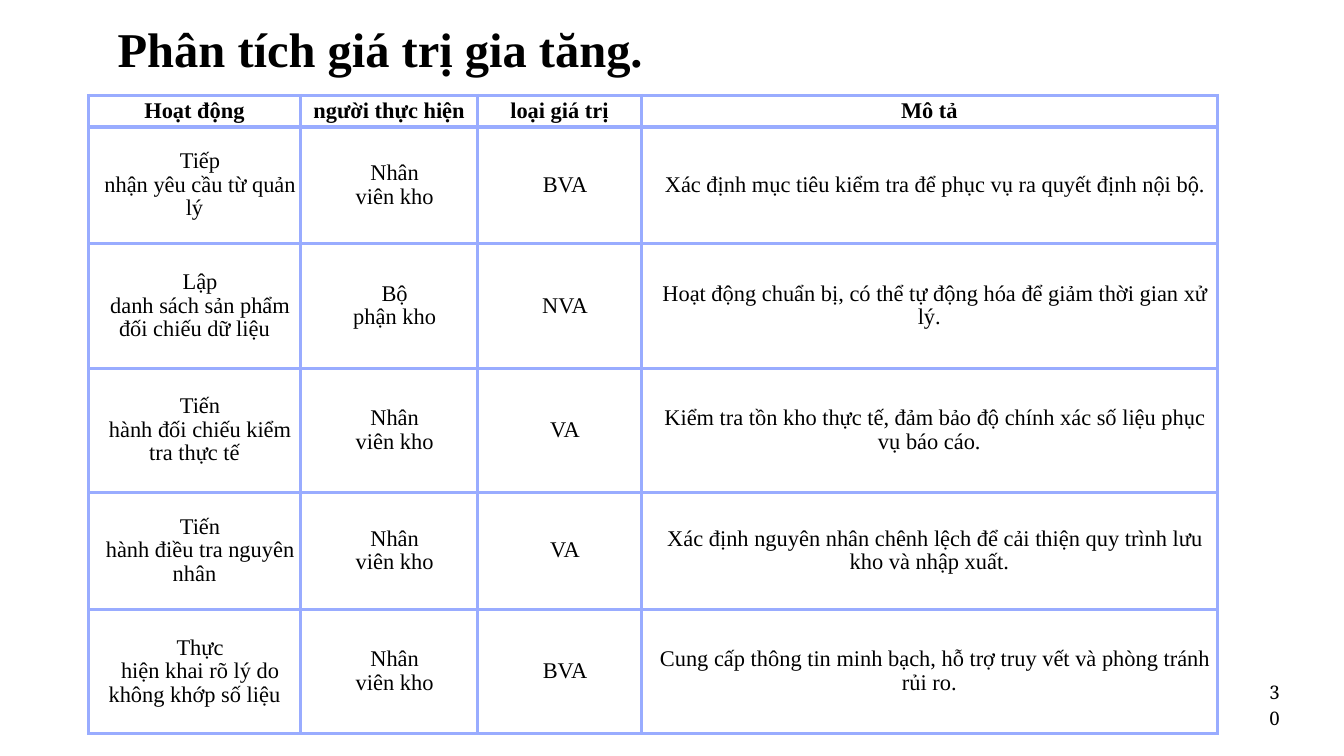
from lxml.etree import SubElement
from pptx import Presentation
from pptx.dml.color import RGBColor
from pptx.enum.text import MSO_ANCHOR, MSO_AUTO_SIZE, PP_ALIGN
from pptx.oxml.ns import qn
from pptx.util import Cm, Pt

COLORS = {"text": "000000", "border": "99ACFF"}
FONT = "Times New Roman"
NUMBER_FONT = "Noto Serif"
COL_WIDTHS = [8, 6.71, 6.17, 21.79]
ROW_HEIGHTS = [1.19, 4.42, 4.7, 4.7, 4.42, 4.7]
ROWS = [
    ["Hoạt động", "người thực hiện", "loại giá trị", "Mô tả"],
    ["Tiếp\nnhận yêu cầu từ quản lý", "Nhân\nviên kho", "BVA",
     "Xác định mục tiêu kiểm tra để phục vụ ra quyết định nội bộ."],
    ["Lập\ndanh sách sản phẩm đối chiếu dữ liệu", "Bộ\nphận kho", "NVA",
     "Hoạt động chuẩn bị, có thể tự động hóa để giảm thời gian xử lý."],
    ["Tiến\nhành đối chiếu kiểm tra thực tế", "Nhân\nviên kho", "VA",
     "Kiểm tra tồn kho thực tế, đảm bảo độ chính xác số liệu phục vụ báo cáo."],
    ["Tiến\nhành điều tra nguyên nhân", "Nhân\nviên kho", "VA",
     "Xác định nguyên nhân chênh lệch để cải thiện quy trình lưu kho và nhập xuất."],
    ["Thực\nhiện khai rõ lý do không khớp số liệu", "Nhân\nviên kho", "BVA",
     "Cung cấp thông tin minh bạch, hỗ trợ truy vết và phòng tránh rủi ro."],
]


class Deck:
    """Holds the style and the current slide, and adds each kind of element."""

    def __init__(self, prs):
        self.slide = prs.slides.add_slide(prs.slide_layouts[5])

    def set_text(self, tf, text, size, spacing, font=FONT, bold=False, indent=0):
        tf.text = text
        for p in tf.paragraphs:
            p.alignment = PP_ALIGN.CENTER
            p.line_spacing = Pt(spacing)
            p.space_before = Pt(0)
            if indent:
                p._p.get_or_add_pPr().set("indent", str(Cm(indent)))
            for r in p.runs:
                r.font.name = font
                r.font.size = Pt(size)
                r.font.bold = bold
                r.font.color.rgb = RGBColor.from_string(COLORS["text"])

    def frame(self, sp):
        tf = sp.text_frame
        tf.margin_left = tf.margin_right = tf.margin_top = tf.margin_bottom = 0
        tf.word_wrap = True
        tf.auto_size = MSO_AUTO_SIZE.NONE
        tf.vertical_anchor = MSO_ANCHOR.TOP
        return tf

    def title(self, text, x, y, w, h):
        sp = self.slide.shapes.title
        sp.left, sp.top, sp.width, sp.height = Cm(x), Cm(y), Cm(w), Cm(h)
        self.set_text(self.frame(sp), text, 52, 72.8, bold=True)

    def number(self, text, x, y, w, h):
        sp = self.slide.shapes.add_textbox(Cm(x), Cm(y), Cm(w), Cm(h))
        self.set_text(self.frame(sp), text, 20, 28, font=NUMBER_FONT)

    def borders(self, cell):
        tcPr = cell._tc.get_or_add_tcPr()
        for side in "LRTB":
            ln = SubElement(tcPr, qn(f"a:ln{side}"), w=str(Pt(3.75)))
            fill = SubElement(ln, qn("a:solidFill"))
            SubElement(fill, qn("a:srgbClr"), val=COLORS["border"])

    def table(self, rows, x, y, widths, heights):
        table = self.slide.shapes.add_table(
            len(rows), len(widths), Cm(x), Cm(y), Cm(sum(widths)), Cm(sum(heights))).table
        table.first_row = table.horz_banding = False
        for col, width in zip(table.columns, widths):
            col.width = Cm(width)
        for i, (values, height) in enumerate(zip(rows, heights)):
            table.rows[i].height = Cm(height)
            for j, value in enumerate(values):
                cell = table.cell(i, j)
                cell.margin_left = cell.margin_right = cell.margin_top = cell.margin_bottom = 0
                cell.vertical_anchor = MSO_ANCHOR.MIDDLE
                self.borders(cell)
                cell.fill.background()
                self.set_text(cell.text_frame, value, 24, 25.2, bold=i == 0,
                              indent=0.42 if i else 0)


def main():
    prs = Presentation()
    prs.slide_width, prs.slide_height = Cm(50.8), Cm(28.58)
    deck = Deck(prs)
    deck.table(ROWS, 3.35, 3.61, COL_WIDTHS, ROW_HEIGHTS)
    deck.title("Phân tích giá trị gia tăng.", 1.09, 0.36, 26.57, 2.39)
    deck.number("30", 47.96, 25.58, 0.43, 0.56)
    prs.save("out.pptx")


if __name__ == "__main__":
    main()
